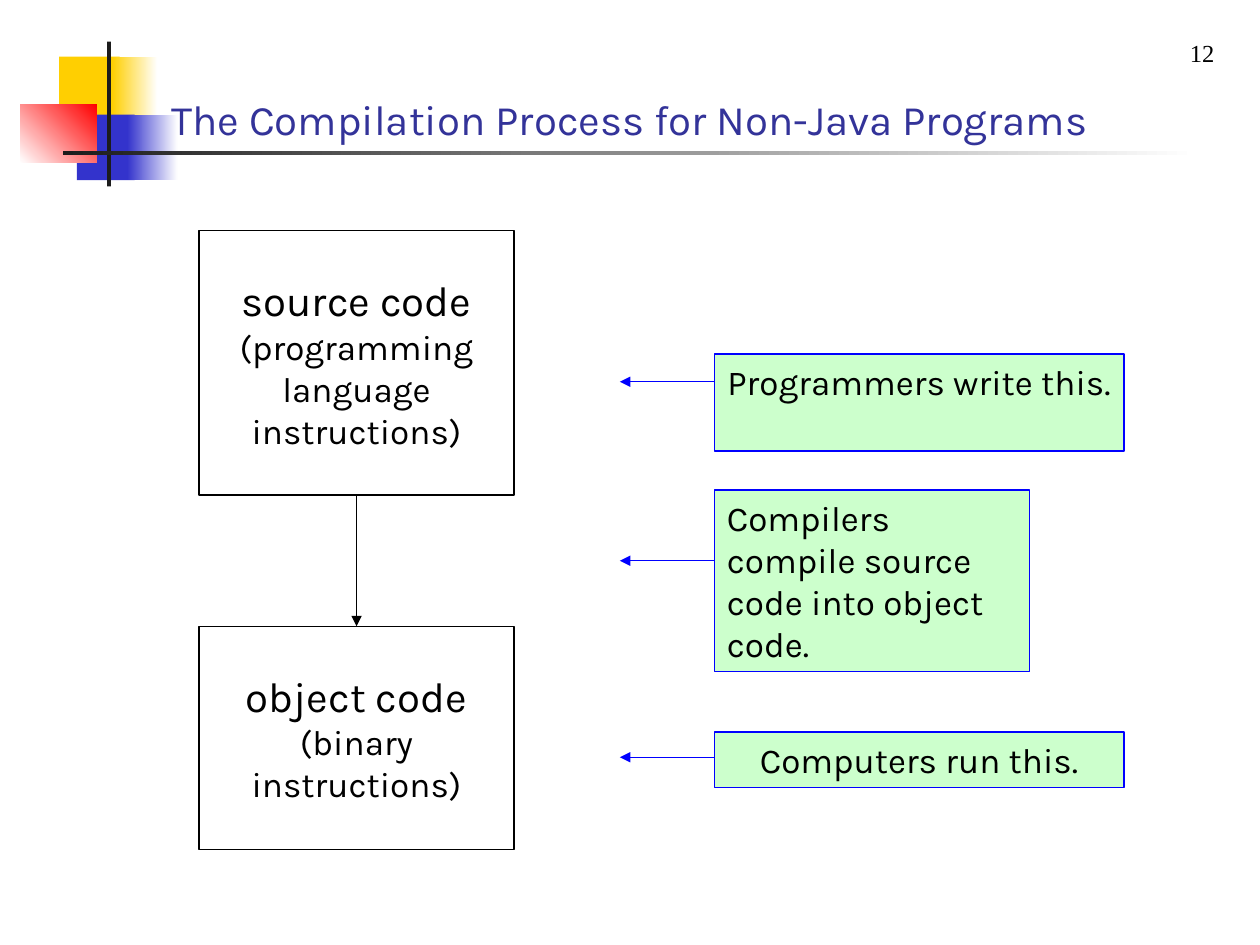
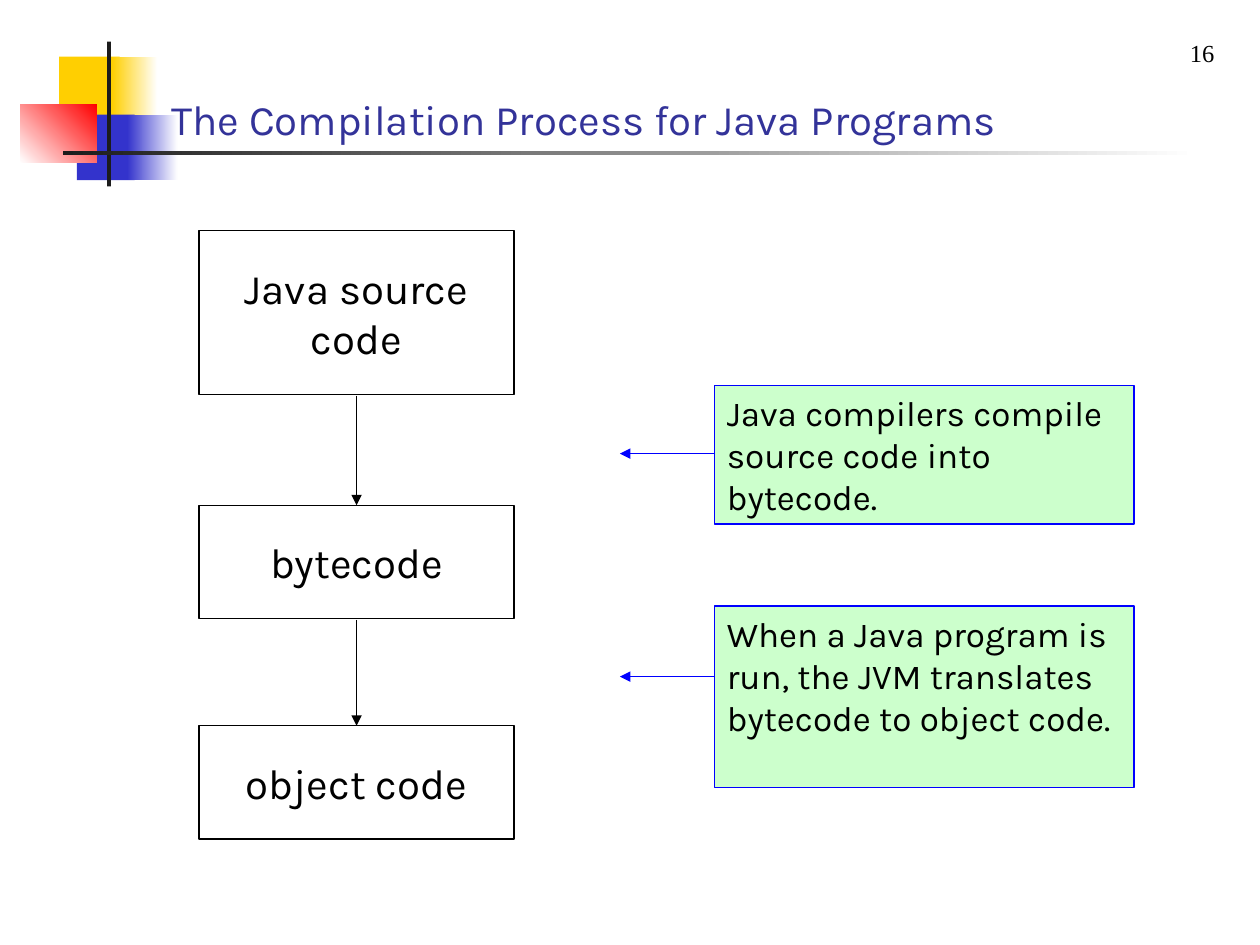
from lxml import etree
from pptx import Presentation
from pptx import util as u
from pptx.dml.color import RGBColor
from pptx.enum import shapes, text
from pptx.oxml import ns

BLACK = RGBColor(0x00, 0x00, 0x00)
WHITE = RGBColor(0xFF, 0xFF, 0xFF)
CHARCOAL = RGBColor(0x1C, 0x1C, 0x1C)
YELLOW = RGBColor(0xFF, 0xCF, 0x01)
INDIGO = RGBColor(0x33, 0x33, 0xCC)
RED = RGBColor(0xFF, 0x00, 0x00)
TITLE_BLUE = RGBColor(0x33, 0x33, 0x99)
NOTE_BLUE = RGBColor(0x00, 0x00, 0xFF)
NOTE_GREEN = RGBColor(0xCC, 0xFF, 0xCC)
FONT = "Karla"
LEFT, CENTER = text.PP_ALIGN.LEFT, text.PP_ALIGN.CENTER

STAGE_LEFT, STAGE_WIDTH = 1.58, 2.5
STAGE_MIDDLE = STAGE_LEFT + STAGE_WIDTH / 2
NOTE_LEFT, POINTER_LENGTH = 5.67, 0.75

# Stages: top, height, runs of (words, size)
# Notes: top, width, height, pointer height, alignment, words
SLIDES = [
    dict(
        title="The Compilation Process for Non-Java Programs",
        number="12",
        padding=0.35,
        stages=[
            (1.83, 2.1, [("source code", 24),
                         (" (programming language instructions)", 20)]),
            (4.97, 1.77, [("object code", 24),
                          (" (binary instructions)", 20)]),
        ],
        notes=[
            (2.81, 3.25, 0.77, 3.03, CENTER, "Programmers write this."),
            (3.89, 2.5, 1.44, 4.45, LEFT,
             "Compilers compile source code into object code."),
            (5.81, 3.25, 0.44, 6.01, CENTER, "Computers run this."),
        ],
    ),
    dict(
        title="The Compilation Process for Java Programs",
        number="16",
        padding=0.25,
        stages=[
            (1.83, 1.3, [("Java source code", 24)]),
            (4.01, 0.9, [("bytecode", 24)]),
            (5.76, 0.9, [("object code", 24)]),
        ],
        notes=[
            (3.06, 3.33, 1.1, 3.6, LEFT,
             "Java compilers compile source code into bytecode."),
            (4.81, 3.33, 1.44, 5.37, LEFT,
             "When a Java program is run, the JVM translates bytecode to object code."),
        ],
    ),
]


def add_box(slide, place, fill, line, runs, align, padding):
    box = slide.shapes.add_shape(shapes.MSO_SHAPE.RECTANGLE, *map(u.Inches, place))
    box.shadow.inherit = False
    if fill is None:
        box.fill.background()
    else:
        box.fill.solid()
        box.fill.fore_color.rgb = fill
    box.line.color.rgb = line
    box.line.width = u.Pt(0.75)
    frame = box.text_frame
    frame.word_wrap = True
    frame.vertical_anchor = text.MSO_ANCHOR.TOP
    frame.margin_top = frame.margin_bottom = u.Inches(padding)
    paragraph = frame.paragraphs[0]
    paragraph.alignment = align
    for words, size in runs:
        run = paragraph.add_run()
        run.text = words
        run.font.name, run.font.size = FONT, u.Pt(size)
        run.font.color.rgb = BLACK


def add_arrow(slide, start, end, color):
    arrow = slide.shapes.add_connector(
        shapes.MSO_CONNECTOR.STRAIGHT, *map(u.Inches, (*start, *end)))
    arrow.line.color.rgb = color
    arrow.line.width = u.Pt(0.75)
    etree.SubElement(arrow.line._get_or_add_ln(), ns.qn("a:tailEnd"), type="triangle")
    etree.SubElement(arrow.element.spPr, ns.qn("a:effectLst"))


prs = Presentation()
prs.slide_width, prs.slide_height = u.Inches(10), u.Inches(7.5)
layout = prs.slide_layouts.get_by_name("Title Only")

# Keep only the title on the layout
for placeholder in list(layout.placeholders):
    if placeholder.placeholder_format.type != shapes.PP_PLACEHOLDER.TITLE:
        placeholder.element.getparent().remove(placeholder.element)
pages = [prs.slides.add_slide(layout) for _ in SLIDES]

# Shared corner blocks and rules: place, first colour, last colour, angle
ornaments = []
for place, first, last, angle in [
    ((0.47, 0.45, 0.48, 0.52), YELLOW, None, 0),
    ((0.89, 0.45, 0.36, 0.52), YELLOW, WHITE, 0),
    ((0.61, 0.91, 0.46, 0.52), INDIGO, None, 0),
    ((1.01, 0.91, 0.4, 0.52), INDIGO, WHITE, 0),
    ((0.16, 0.83, 0.61, 0.46), WHITE, RED, 45),
    ((0.85, 0.33, 0.03, 1.15), CHARCOAL, None, 0),
    ((0.5, 1.2, 9, 0.03), CHARCOAL, WHITE, 0),
]:
    ornament = pages[0].shapes.add_shape(
        shapes.MSO_SHAPE.RECTANGLE, *map(u.Inches, place))
    ornament.shadow.inherit = False
    ornament.line.fill.background()
    if last is None:
        ornament.fill.solid()
        ornament.fill.fore_color.rgb = first
    else:
        ornament.fill.gradient()
        ornament.fill.gradient_angle = angle
        for stop, color in zip(ornament.fill.gradient_stops, (first, last)):
            stop.color.rgb = color
    ornaments.append(ornament.element)

# Move them to the layout so that every slide shows them
for element in ornaments:
    layout.shapes.element.append(element)

for slide, content in zip(pages, SLIDES):
    # Title
    title = slide.shapes.title
    title.left, title.top = u.Inches(1.26), u.Inches(0.37)
    title.width, title.height = u.Inches(7.74), u.Inches(0.82)
    heading = title.text_frame
    heading.auto_size = text.MSO_AUTO_SIZE.NONE
    heading.vertical_anchor = text.MSO_ANCHOR.BOTTOM
    heading.paragraphs[0].alignment = LEFT
    run = heading.paragraphs[0].add_run()
    run.text = content["title"]
    run.font.name, run.font.size = FONT, u.Pt(24)
    run.font.color.rgb = TITLE_BLUE

    # Stages, each joined to the one above
    previous_bottom = None
    for top, height, runs in content["stages"]:
        add_box(slide, (STAGE_LEFT, top, STAGE_WIDTH, height), None, BLACK,
                runs, CENTER, content["padding"])
        if previous_bottom is not None:
            add_arrow(slide, (STAGE_MIDDLE, previous_bottom), (STAGE_MIDDLE, top), BLACK)
        previous_bottom = top + height + 0.01

    # Notes with pointers towards the stages
    for top, width, height, pointer, align, words in content["notes"]:
        add_box(slide, (NOTE_LEFT, top, width, height), NOTE_GREEN, NOTE_BLUE,
                [(words, 20)], align, 0.05)
        add_arrow(slide, (NOTE_LEFT, pointer),
                  (NOTE_LEFT - POINTER_LENGTH, pointer), NOTE_BLUE)

    # Page number
    number = slide.shapes.add_textbox(*map(u.Inches, (9.33, 0.25, 0.42, 0.42)))
    number.text_frame.word_wrap = True
    number.text_frame.paragraphs[0].alignment = CENTER
    run = number.text_frame.paragraphs[0].add_run()
    run.text = content["number"]
    run.font.name, run.font.size = "Times New Roman", u.Pt(14)
    run.font.color.rgb = BLACK

prs.save("out.pptx")
